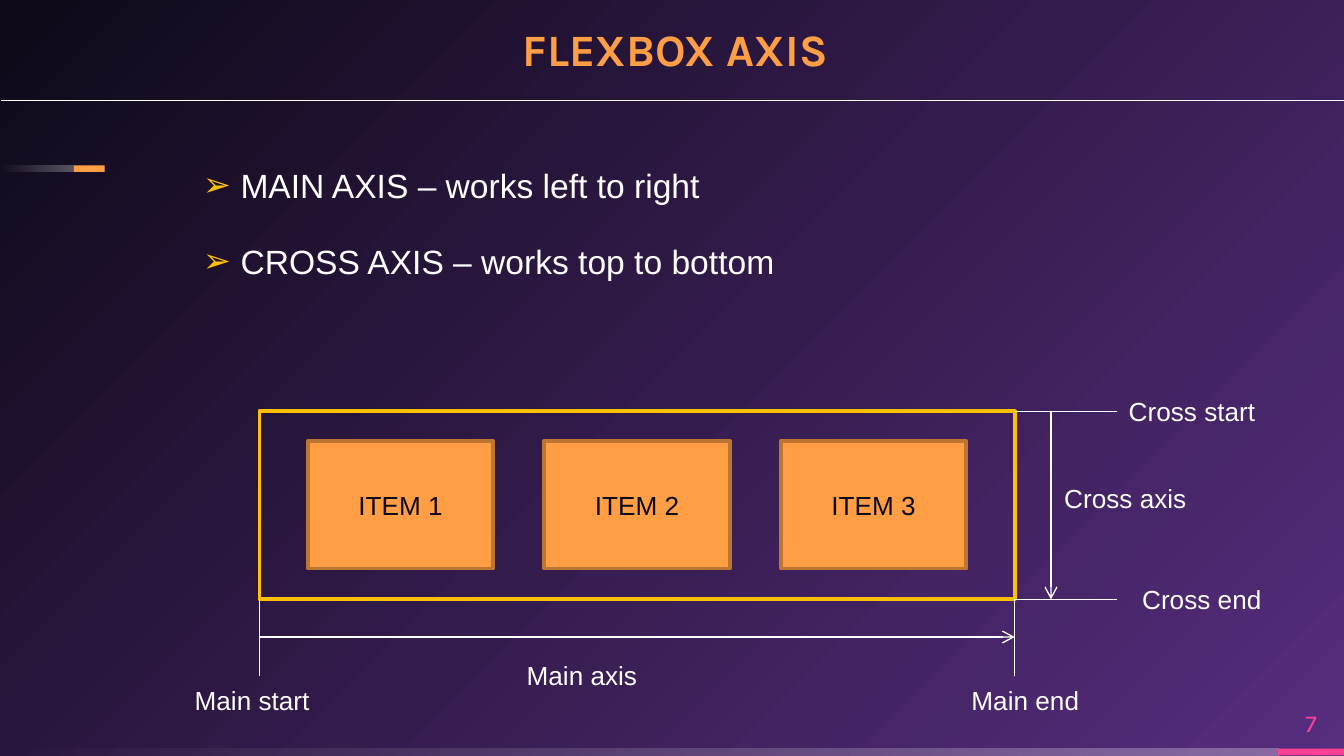
from dataclasses import dataclass

from lxml import etree
from pptx import Presentation
from pptx.dml.color import RGBColor
from pptx.enum.shapes import MSO_CONNECTOR, MSO_SHAPE
from pptx.enum.text import MSO_ANCHOR, MSO_AUTO_SIZE, PP_ALIGN
from pptx.oxml.ns import qn
from pptx.util import Inches, Pt

RECTANGLE = MSO_SHAPE.RECTANGLE
STRAIGHT = MSO_CONNECTOR.STRAIGHT
TOP, MIDDLE, BOTTOM = MSO_ANCHOR.TOP, MSO_ANCHOR.MIDDLE, MSO_ANCHOR.BOTTOM
LEFT, CENTER = PP_ALIGN.LEFT, PP_ALIGN.CENTER
NO_AUTOFIT = MSO_AUTO_SIZE.NONE


@dataclass(frozen=True)
class Theme:
    white: str = "FFFFFF"
    night: str = "0E0918"
    purple: str = "572D7E"
    orange: str = "FF9E44"
    brown: str = "BD7532"
    gold: str = "FFC000"
    pink: str = "FF4093"
    heading_font: str = "Karla"
    text_font: str = "Arial"
    title_size: float = 24
    body_size: float = 18
    label_size: float = 14
    number_size: float = 13
    thin: float = 0.75
    thick: float = 2


@dataclass(frozen=True)
class Box:
    left: float
    top: float
    width: float
    height: float

    @property
    def right(self):
        return self.left + self.width

    @property
    def bottom(self):
        return self.top + self.height

    def lengths(self):
        return [Inches(n) for n in (self.left, self.top, self.width, self.height)]


THEME = Theme()


def rgb(color):
    return RGBColor.from_string(color)


def apply(target, values):
    for name, value in values.items():
        setattr(target, name, value)


def write(para, text, font, size, color, bold=False):
    span = para.add_run()
    span.text = text
    apply(span.font, {"name": font, "size": Pt(size), "bold": bold})
    span.font.color.rgb = rgb(color)


def set_frame(frame, anchor, inset=None):
    apply(frame, {"word_wrap": True, "auto_size": NO_AUTOFIT, "vertical_anchor": anchor})
    if inset is not None:
        sides = ("margin_left", "margin_top", "margin_right", "margin_bottom")
        apply(frame, dict.fromkeys(sides, Inches(inset)))


def move(shape, box):
    apply(shape, dict(zip(("left", "top", "width", "height"), box.lengths())))


def add_rectangle(page, box, fill=None, line=None):
    shape = page.shapes.add_shape(RECTANGLE, *box.lengths())
    shape.shadow.inherit = False
    if fill:
        shape.fill.solid()
        shape.fill.fore_color.rgb = rgb(fill)
    else:
        shape.fill.background()
    if line:
        shape.line.color.rgb = rgb(line)
        shape.line.width = Pt(THEME.thick)
    else:
        shape.line.fill.background()
    return shape


def add_fade(page, box):
    shape = add_rectangle(page, box)
    shape.fill.gradient()
    shape.fill.gradient_angle = 180
    for stop, position in zip(shape.fill.gradient_stops, (0, 1)):
        stop.position = position
        stop.color.rgb = rgb(THEME.white)
    for color, alpha in zip(shape.element.spPr.iter(qn("a:srgbClr")), (30000, 0)):
        etree.SubElement(color, qn("a:alpha"), val=str(alpha))


def add_line(page, start, end, arrow=False):
    ends = [Inches(n) for n in (*start, *end)]
    line = page.shapes.add_connector(STRAIGHT, *ends)
    line.line.color.rgb = rgb(THEME.white)
    line.line.width = Pt(THEME.thin)
    properties = line.element.spPr
    if arrow:
        etree.SubElement(properties.find(qn("a:ln")), qn("a:tailEnd"), type="arrow")
    etree.SubElement(properties, qn("a:effectLst"))


def add_label(page, text, left, top):
    label = page.shapes.add_textbox(*Box(left, top, 1.17, 0.34).lengths())
    set_frame(label.text_frame, TOP)
    write(label.text_frame.paragraphs[0], text, THEME.text_font, THEME.label_size, THEME.white)


def paint_background(page):
    fill = page.background.fill
    fill.gradient()
    for stop, position, color in zip(fill.gradient_stops, (0, 1), (THEME.purple, THEME.night)):
        stop.position = position
        stop.color.rgb = rgb(color)
    gradient = next(page.element.iter(qn("a:gradFill")))
    gradient.remove(gradient.find(qn("a:lin")))
    circle = etree.SubElement(gradient, qn("a:path"), path="circle")
    etree.SubElement(circle, qn("a:fillToRect"), l="100000", t="100000")


def add_accent(page, box, tip, tip_color):
    add_fade(page, Box(box.left, box.top, box.width - tip, box.height))
    add_rectangle(page, Box(box.right - tip, box.top, tip, box.height), tip_color)


def add_footer(page, box, number):
    tip = 0.49
    add_accent(page, box, tip, THEME.pink)
    place = Box(box.right - tip, box.top - 0.38, tip, 0.38)
    label = page.shapes.add_textbox(*place.lengths())
    set_frame(label.text_frame, MIDDLE, 0)
    para = label.text_frame.paragraphs[0]
    para.alignment = CENTER
    write(para, number, THEME.heading_font, THEME.number_size, THEME.pink)


def fill_title(page, box, text):
    title = page.shapes.title
    move(title, box)
    set_frame(title.text_frame, BOTTOM, 0)
    para = title.text_frame.paragraphs[0]
    apply(para, {"alignment": LEFT, "line_spacing": 0.9})
    write(para, text, THEME.heading_font, THEME.title_size, THEME.orange, bold=True)


def fill_list(page, box, entries):
    body = page.placeholders[1]
    move(body, box)
    frame = body.text_frame
    set_frame(frame, TOP, 0)
    hang = Inches(0.28)
    for index, entry in enumerate(entries):
        para = frame.add_paragraph() if index else frame.paragraphs[0]
        apply(para, {"alignment": LEFT, "line_spacing": 1.15,
                     "space_before": Pt(8 if index else 0), "space_after": Pt(8)})
        properties = para._p.get_or_add_pPr()
        properties.set("marL", str(hang))
        properties.set("indent", str(-hang))
        bullet_color = etree.SubElement(properties, qn("a:buClr"))
        etree.SubElement(bullet_color, qn("a:srgbClr"), val=THEME.gold)
        etree.SubElement(properties, qn("a:buFont"), typeface=THEME.text_font)
        etree.SubElement(properties, qn("a:buChar"), char="➢")
        write(para, entry, THEME.text_font, THEME.body_size, THEME.white)


def add_container(page, box, items):
    add_rectangle(page, box, line=THEME.gold)
    width, height, margin = 1.38, 0.95, 0.36
    step = (box.width - 2 * margin - width) / (len(items) - 1)
    for index, text in enumerate(items):
        place = Box(box.left + margin + index * step, box.top + 0.22, width, height)
        item = add_rectangle(page, place, THEME.orange, THEME.brown)
        set_frame(item.text_frame, MIDDLE)
        para = item.text_frame.paragraphs[0]
        para.alignment = CENTER
        write(para, text, THEME.text_font, THEME.label_size, THEME.night)


def add_main_axis(page, box):
    axis, end = box.bottom + 0.28, box.bottom + 0.57
    add_line(page, (box.left, axis), (box.right, axis), arrow=True)
    for edge in (box.left, box.right):
        add_line(page, (edge, box.bottom), (edge, end))
    add_label(page, "Main axis", box.left + 1.89, box.bottom + 0.4)
    add_label(page, "Main start", box.left - 0.58, end + 0.01)
    add_label(page, "Main end", box.right - 0.42, end + 0.01)


def add_cross_axis(page, box):
    axis = box.right + 0.27
    add_line(page, (axis, box.top), (axis, box.bottom), arrow=True)
    for edge in (box.top, box.bottom):
        add_line(page, (box.right, edge), (box.right + 0.76, edge))
    add_label(page, "Cross axis", axis, box.top + 0.48)
    add_label(page, "Cross start", box.right + 0.75, box.top - 0.17)
    add_label(page, "Cross end", box.right + 0.85, box.bottom - 0.17)


def main():
    deck = Presentation()
    deck.slide_width = Inches(10)
    deck.slide_height = deck.slide_width * 9 // 16
    page = deck.slides.add_slide(deck.slide_layouts[1])
    paint_background(page)
    add_footer(page, Box(0, 5.57, 10, 0.05), "7")
    add_accent(page, Box(0, 1.23, 0.78, 0.05), 0.23, THEME.orange)
    fill_title(page, Box(3.89, 0.14, 2.73, 0.43), "FLEXBOX AXIS")
    add_line(page, (0.01, 0.75), (10, 0.75))
    fill_list(page, Box(1.51, 1.18, 5.4, 1.15),
              ["MAIN AXIS – works left to right", "CROSS AXIS – works top to bottom"])
    container = Box(1.93, 3.06, 5.62, 1.4)
    add_container(page, container, [f"ITEM {number}" for number in (1, 2, 3)])
    add_main_axis(page, container)
    add_cross_axis(page, container)
    deck.save("out.pptx")


if __name__ == "__main__":
    main()
